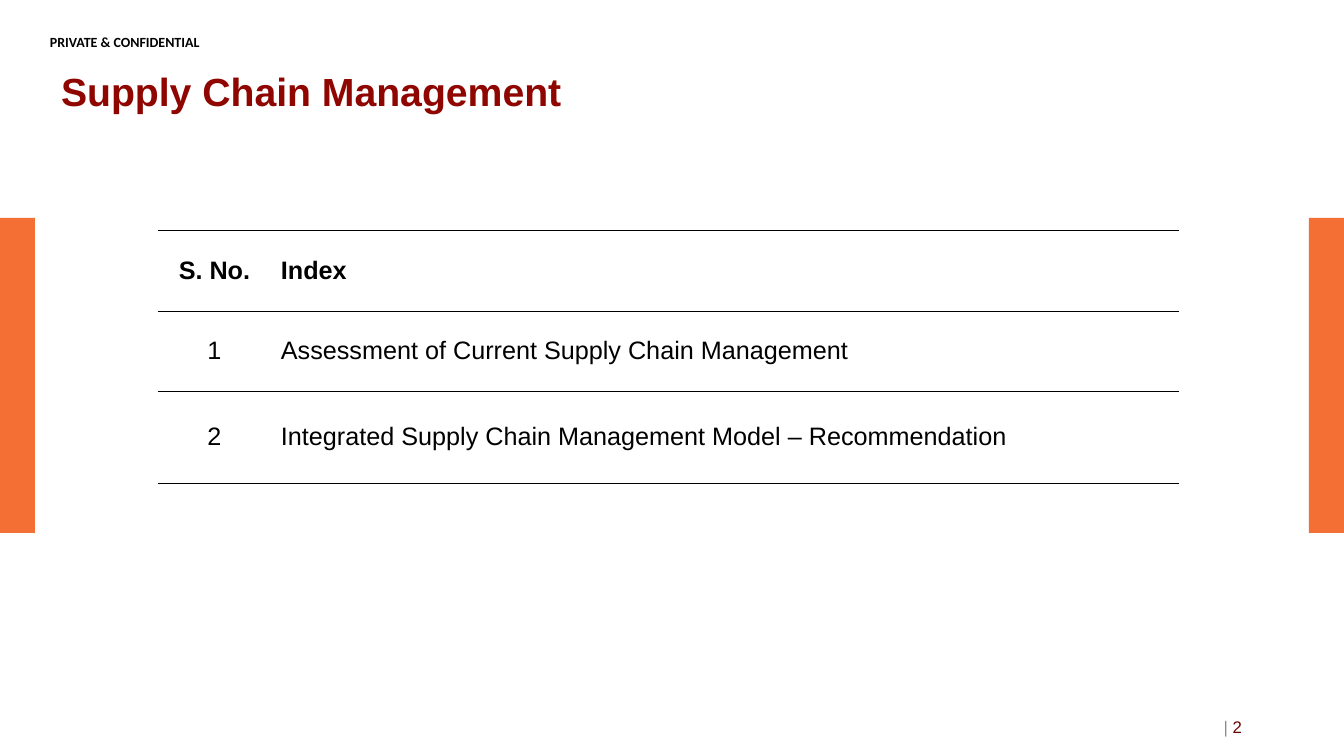
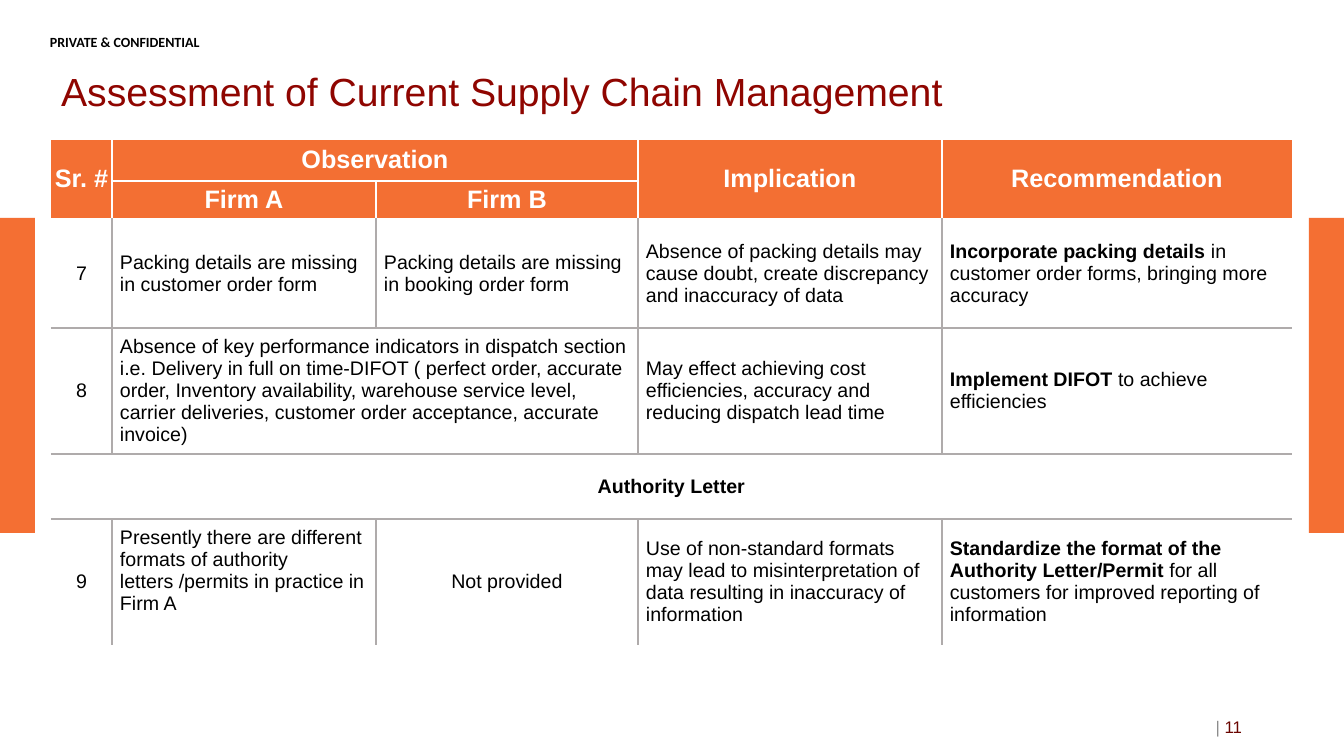
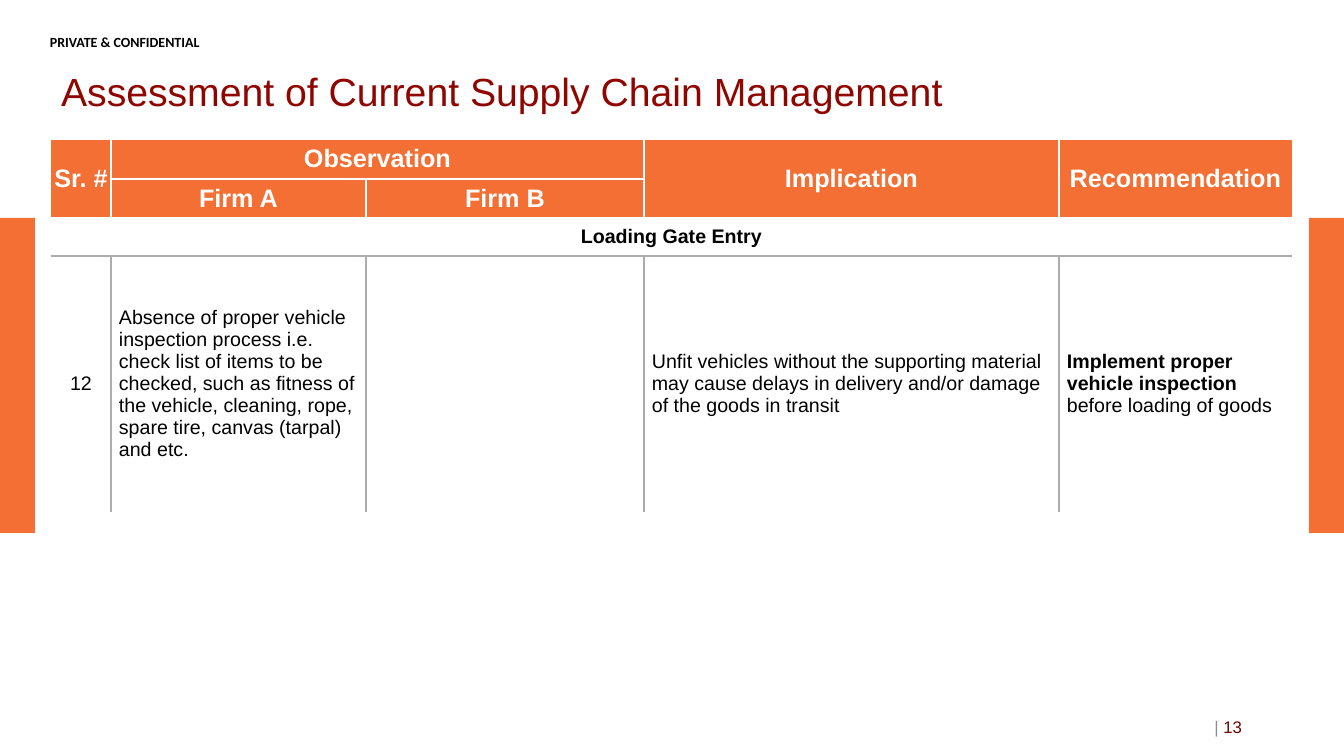
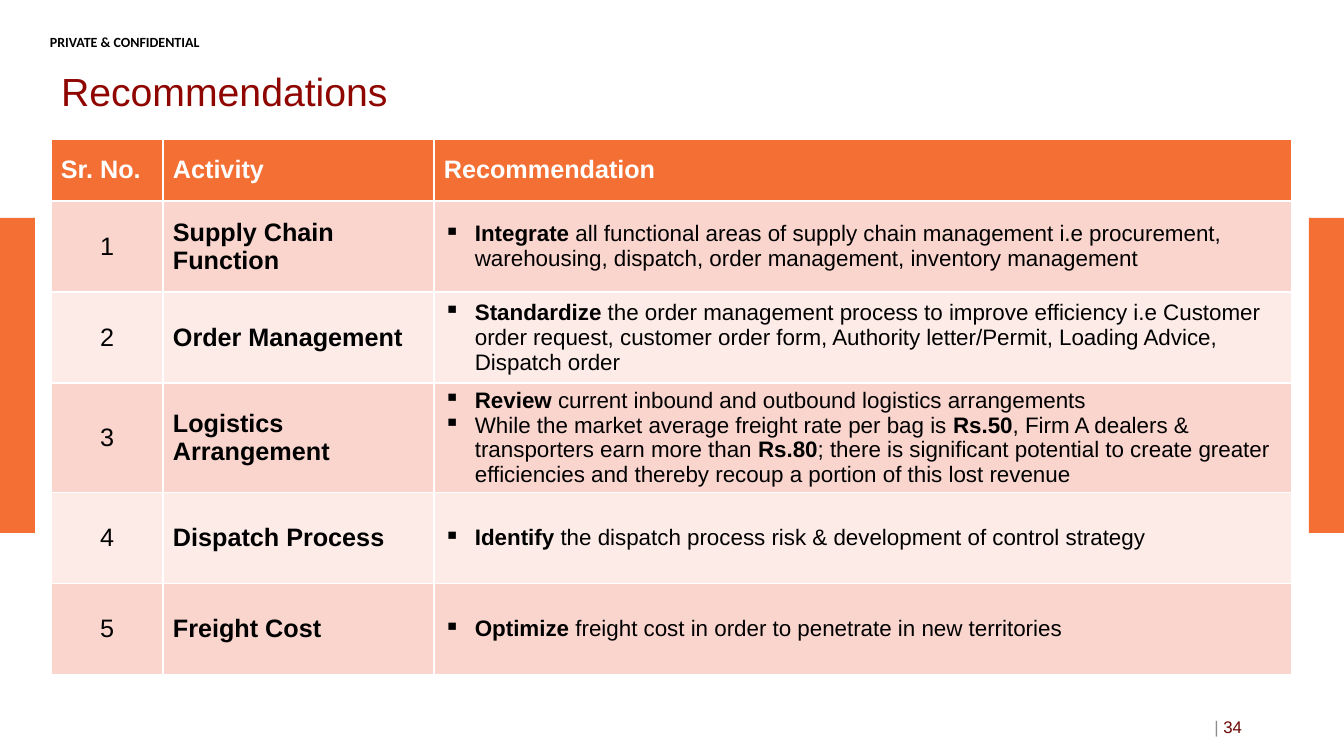
from lxml import etree
from pptx import Presentation, util as u
from pptx.dml.color import RGBColor
from pptx.enum import shapes, text
from pptx.oxml import ns

COLORS = {"band": "F46F33", "header": "F36F33", "title": "8F0500", "page": "6A0500",
          "bar": "8C8C8C", "grid": "AFABAB", "white": "FFFFFF", "black": "000000",
          "odd": "FAD5CE", "even": "FDEBE8"}
FONT = "Arial"
PLAIN_TABLE = "{2D5ABB26-0587-4C30-8999-92F81FD0307C}"
LEFT, UP = "<", "^"  # cell joined to its left or upper neighbour

# Text between ** marks is bold; a list in a cell is a bullet list.
INDEX = [
    ("S. No.", "Index"),
    ("1", "Assessment of Current Supply Chain Management"),
    ("2", "Integrated Supply Chain Management Model – Recommendation"),
]
FINDING_HEAD = [
    ("Sr. #", "Observation", LEFT, "Implication", "Recommendation"),
    (UP, "Firm A", "Firm B", UP, UP),
]
ORDER_FINDINGS = FINDING_HEAD + [
    ("7", "Packing details are missing in customer order form",
     "Packing details are missing in booking order form",
     "Absence of packing details may cause doubt, create discrepancy and inaccuracy of data",
     "**Incorporate packing details** in customer order forms, bringing more accuracy"),
    ("8", "Absence of key performance indicators in dispatch section i.e. Delivery in full "
     "on time-DIFOT ( perfect order, accurate order, Inventory availability, warehouse "
     "service level, carrier deliveries, customer order acceptance, accurate invoice)", LEFT,
     "May effect achieving cost efficiencies, accuracy and reducing dispatch lead time",
     "**Implement DIFOT** to achieve efficiencies"),
    ("**Authority Letter**", LEFT, LEFT, LEFT, LEFT),
    ("9", "Presently there are different formats of authority letters /permits in practice "
     "in Firm A", "Not provided",
     "Use of non-standard formats may lead to misinterpretation of data resulting in "
     "inaccuracy of information",
     "**Standardize the format of the Authority Letter/Permit** for all customers for "
     "improved reporting of information"),
]
GATE_FINDINGS = FINDING_HEAD + [
    ("**Loading Gate Entry**", LEFT, LEFT, LEFT, LEFT),
    ("12", "Absence of proper vehicle inspection process i.e. check list of items to be "
     "checked, such as fitness of the vehicle, cleaning, rope, spare tire, canvas (tarpal) "
     "and etc.", "",
     "Unfit vehicles without the supporting material may cause delays in delivery and/or "
     "damage of the goods in transit",
     "**Implement proper vehicle inspection** before loading of goods"),
]
ACTIONS = [
    ("Sr. No.", "Activity", "Recommendation"),
    ("1", "**Supply Chain Function**",
     ["**Integrate** all functional areas of supply chain management i.e procurement, "
      "warehousing, dispatch, order management, inventory management"]),
    ("2", "**Order Management**",
     ["**Standardize** the order management process to improve efficiency i.e Customer "
      "order request, customer order form, Authority letter/Permit, Loading Advice, "
      "Dispatch order"]),
    ("3", "**Logistics Arrangement**",
     ["**Review** current inbound and outbound logistics arrangements",
      "While the market average freight rate per bag is **Rs.50**, Firm A dealers & "
      "transporters earn more than **Rs.80**; there is significant potential to create "
      "greater efficiencies and thereby recoup a portion of this lost revenue"]),
    ("4", "**Dispatch Process**",
     ["**Identify** the dispatch process risk & development of control strategy"]),
    ("5", "**Freight Cost**",
     ["**Optimize** freight cost in order to penetrate in new territories"]),
]
ASSESSMENT = "Assessment of Current Supply Chain Management"
# title, bold title, page, table kind, rows, left, top, column widths, row heights
SLIDES = [
    ("Supply Chain Management", True, 2, "index", INDEX, 158, 230,
     (113, 908), (81, 80, 92)),
    (ASSESSMENT, False, 11, "findings", ORDER_FINDINGS, 51, 139,
     (61, 264, 262, 304, 350), (42, 38, 109, 126, 65, 126)),
    (ASSESSMENT, False, 13, "findings", GATE_FINDINGS, 51, 139,
     (60, 255, 278, 415, 233), (40, 39, 38, 256)),
    ("Recommendations", False, 34, "actions", ACTIONS, 51, 139,
     (112, 271, 858), (62, 91, 91, 109, 91, 91)),
]


def px(n):
    """Turn pixels into EMU."""
    return u.Emu(round(n * 914400 / 100.8))


def style(r, size, color, bold=False, font=FONT):
    """Format one run."""
    r.font.name, r.font.size, r.font.bold = font, u.Pt(size), bold
    r.font.color.rgb = RGBColor.from_string(COLORS[color])


def write(p, marked, size, color, bold=False):
    """Fill a paragraph, with the parts between ** marks in bold."""
    for i, part in enumerate(marked.split("**")):
        if part:
            r = p.add_run()
            r.text = part
            style(r, size, color, bold or i % 2 == 1)


def add_text(s, x, y, w, h):
    """Add a wrapping text box and return its text frame."""
    tf = s.shapes.add_textbox(px(x), px(y), px(w), px(h)).text_frame
    tf.word_wrap = True
    return tf


def furnish(layout, s):
    """Put the title place, side bands and confidentiality line on the layout."""
    title = layout.placeholders[0]
    title.left, title.top, title.width, title.height = map(px, (51, 58, 1095, 72))
    for x in (0, 1309):
        band = s.shapes.add_shape(shapes.MSO_SHAPE.RECTANGLE, px(x), px(218), px(35), px(315))
        band.shadow.inherit = False
        band.fill.solid()
        band.fill.fore_color.rgb = RGBColor.from_string(COLORS["band"])
        band.line.fill.background()
        layout.shapes.element.append(band.element)
    tf = add_text(s, 50, 34, 255, 12)
    tf.margin_left = tf.margin_right = tf.margin_top = tf.margin_bottom = 0
    tf.text = "PRIVATE & CONFIDENTIAL"
    style(tf.paragraphs[0].runs[0], 10, "black", True, "Calibri")
    layout.shapes.element.append(s.shapes[-1].element)


def set_title(s, title, bold):
    """Fill the title placeholder."""
    tf = s.shapes.title.text_frame
    tf.text = title
    tf.auto_size = text.MSO_AUTO_SIZE.NONE
    tf.vertical_anchor = text.MSO_ANCHOR.MIDDLE
    p = tf.paragraphs[0]
    p.alignment, p.line_spacing = text.PP_ALIGN.LEFT, 0.9
    style(p.runs[0], 28, "title", bold)


def set_page(s, page):
    """Add the page number at the bottom right."""
    tf = add_text(s, 950, 707, 302, 40)
    tf.vertical_anchor = text.MSO_ANCHOR.MIDDLE
    p = tf.paragraphs[0]
    p.alignment = text.PP_ALIGN.RIGHT
    for part, color in (("| ", "bar"), (str(page), "page")):
        r = p.add_run()
        r.text = part
        style(r, 12, color)


def set_borders(cell, sides, width):
    """Draw the given sides (L, R, T, B to colour name) and clear the others."""
    tcPr = cell._tc.get_or_add_tcPr()
    for side in "LRTB":
        ln = etree.SubElement(tcPr, ns.qn("a:ln" + side), w=str(u.Pt(width)))
        color = sides.get(side)
        fill = etree.SubElement(ln, ns.qn("a:solidFill" if color else "a:noFill"))
        if color:
            etree.SubElement(fill, ns.qn("a:srgbClr"), val=COLORS[color])


def set_bullet(p):
    """Give a paragraph a square bullet with a hanging indent."""
    pPr = p._p.get_or_add_pPr()
    pPr.set("marL", str(px(31)))
    pPr.set("indent", str(-px(31)))
    etree.SubElement(pPr, ns.qn("a:buChar"), char="▪")


def cell_look(kind, i, j, value):
    """Return size, text colour, fill, margins (L/R, T/B) and centring of a cell."""
    if kind == "index":
        return 18, "black", None, (10, 5), j == 0
    if kind == "findings":
        if i < 2:
            return 18, "white", "header", (1, 1), True
        return 14, "black", None, (8, 8), j == 0 or value == "Not provided"
    if i == 0:
        return 18, "white", "header", (10, 5), False
    size = 16 if isinstance(value, list) else 18
    return size, "black", "odd" if i % 2 else "even", (10, 5), j == 0


def cell_borders(kind, i, j, end_row, end_col, n_rows, n_cols):
    """Return the border colours of the cell that spans to end_row and end_col."""
    if kind == "index":
        return {"T": "black", "B": "black"}
    if kind == "actions":
        return dict.fromkeys("LRTB", "white")
    side = "white" if i < 2 else "grid"
    return {"L": side if j else None,
            "R": side if end_col < n_cols else None,
            "T": "white" if i <= 2 else "grid",
            "B": side if end_row < n_rows else None}


def add_grid(s, kind, rows, x, y, widths, heights):
    """Add a table, joining cells by the LEFT and UP marks."""
    n_rows, n_cols = len(rows), len(widths)
    frame = s.shapes.add_table(n_rows, n_cols, px(x), px(y), px(sum(widths)), px(sum(heights)))
    table = frame.table
    table.first_row = table.horz_banding = False
    table._tbl.tblPr.find(ns.qn("a:tableStyleId")).text = PLAIN_TABLE
    for col, w in zip(table.columns, widths):
        col.width = px(w)
    for row, h in zip(table.rows, heights):
        row.height = px(h)
    for i, row in enumerate(rows):
        for j, value in enumerate(row):
            if value in (LEFT, UP):
                continue
            end_row, end_col = i + 1, j + 1
            while end_col < n_cols and row[end_col] == LEFT:
                end_col += 1
            while end_row < n_rows and rows[end_row][j] == UP:
                end_row += 1
            cell = table.cell(i, j)
            if (end_row, end_col) != (i + 1, j + 1):
                cell.merge(table.cell(end_row - 1, end_col - 1))
            size, color, fill, (side, edge), centred = cell_look(kind, i, j, value)
            cell.vertical_anchor = text.MSO_ANCHOR.MIDDLE
            cell.margin_left = cell.margin_right = px(side)
            cell.margin_top = cell.margin_bottom = px(edge)
            borders = cell_borders(kind, i, j, end_row, end_col, n_rows, n_cols)
            set_borders(cell, borders, 0.5 if kind == "index" else 1)
            if fill:
                cell.fill.solid()
                cell.fill.fore_color.rgb = RGBColor.from_string(COLORS[fill])
            else:
                cell.fill.background()
            is_head = i < (2 if kind == "findings" else 1)
            tf = cell.text_frame
            for k, line in enumerate(value if isinstance(value, list) else [value]):
                p = tf.add_paragraph() if k else tf.paragraphs[0]
                p.alignment = text.PP_ALIGN.CENTER if centred else text.PP_ALIGN.LEFT
                write(p, line, size, color, is_head)
                if isinstance(value, list):
                    set_bullet(p)
    return table


prs = Presentation()
prs.slide_width, prs.slide_height = px(1344), px(756)
layout = prs.slide_layouts[5]
for title, bold, page, kind, *grid in SLIDES:
    s = prs.slides.add_slide(layout)
    if len(prs.slides) == 1:
        furnish(layout, s)
    set_title(s, title, bold)
    table = add_grid(s, kind, *grid)
    if grid[0] is ORDER_FINDINGS:
        table.cell(5, 1).margin_bottom = px(30)  # lifts the authority letter text one line
    set_page(s, page)
prs.save("out.pptx")
